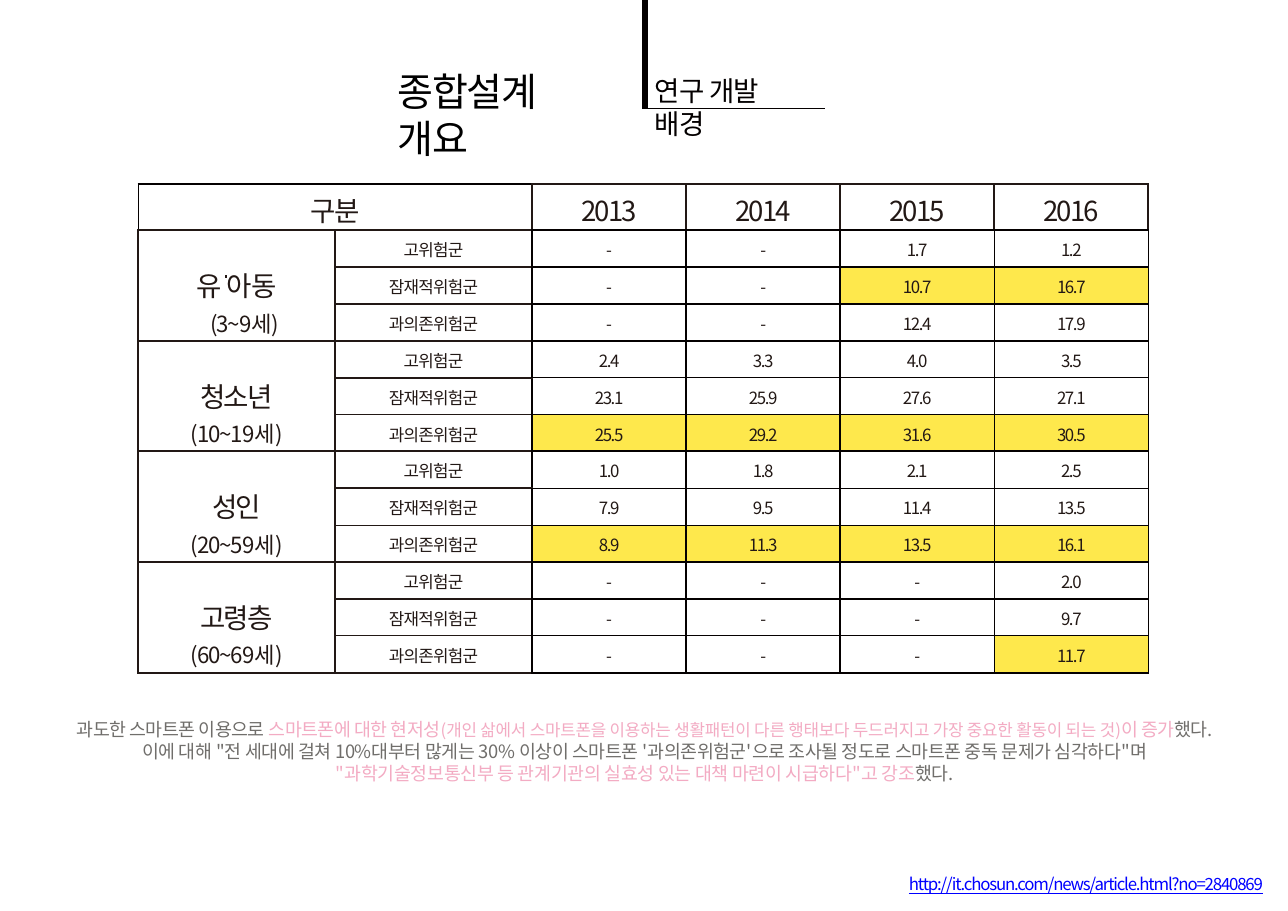
import pptx
import pptx.dml.color
import pptx.enum.shapes
import pptx.enum.text
import pptx.oxml
import pptx.oxml.ns
import pptx.util
from pptx.util import Pt

FONT = "Noto Sans CJK KR"
BLACK, INK, GRAY, PINK = "040000", "221815", "706E6B", "F3ABC3"
YELLOW, BLUE = "FEDF00", "0000FF"
CENTER = pptx.enum.text.PP_ALIGN.CENTER
LEFT = pptx.enum.text.PP_ALIGN.LEFT

YEARS = ["2013", "2014", "2015", "2016"]
RISK_LEVELS = ["고위험군", "잠재적위험군", "과의존위험군"]
# Age group, its letter spacing, age range, extra indent of the range
AGE_GROUPS = [("유 아동", -0.3, "(3~9세)", 10.5), ("청소년", -0.9, "(10~19세)", 0),
              ("성인", -0.9, "(20~59세)", 0), ("고령층", -0.9, "(60~69세)", 0)]
RATES = [
    "- - 1.7 1.2", "- - 10.7 16.7", "- - 12.4 17.9",
    "2.4 3.3 4.0 3.5", "23.1 25.9 27.6 27.1", "25.5 29.2 31.6 30.5",
    "1.0 1.8 2.1 2.5", "7.9 9.5 11.4 13.5", "8.9 11.3 13.5 16.1",
    "- - - 2.0", "- - - 9.7", "- - - 11.7",
]
# Table row: first highlighted column
HIGHLIGHTS = {2: 4, 6: 2, 9: 2, 12: 5}
HEAVY_RULES_BELOW = {0, 1, 3, 6, 12}

# Runs: text, size, colour, letter spacing
SUMMARY = [
    [("과도한 스마트폰 이용으로 ", 12, GRAY, -0.3),
     ("스마트폰에 대한 현저성", 12, PINK, -0.3),
     ("(개인 삶에서 스마트폰을 이용하는 생활패턴이 다른 행태보다 두드러지고 "
      "가장 중요한 활동이 되는 것)", 11, PINK, -0.17),
     ("이 증가", 12, PINK, -0.35), ("했다.", 12, GRAY, -0.5)],
    [("이에 대해 \"전 세대에 걸쳐 10%대부터 많게는 30% 이상이 스마트폰 "
      "'과의존위험군'으로 조사될 정도로 스마트폰 중독 문제가 심각하다\"며",
      12, GRAY, -0.25)],
    [("\"과학기술정보통신부 등 관계기관의 실효성 있는 대책 마련이 시급하다\"고 강조",
      12, PINK, -0.2), ("했다.", 12, GRAY, -0.5)],
]


def rgb(color):
    return pptx.dml.color.RGBColor.from_string(color)


def add_run(paragraph, text, size, color, spacing):
    run = paragraph.add_run()
    run.text = text
    run.font.size = Pt(size)
    run.font.color.rgb = rgb(color)
    run.font.name = FONT
    properties = run.font._element
    properties.set("spc", str(round(spacing * 100)))
    properties.append(pptx.oxml.parse_xml(
        f'<a:ea {pptx.oxml.ns.nsdecls("a")} typeface="{FONT}"/>'))


def write_lines(frame, lines, align=LEFT):
    """Fill a text frame; each line is a list of runs."""
    for index, runs in enumerate(lines):
        paragraph = frame.paragraphs[0] if index == 0 else frame.add_paragraph()
        paragraph.alignment = align
        paragraph.line_spacing = 1.0
        for run in runs:
            add_run(paragraph, *run)


def add_text(slide, left, top, width, height, lines, align=LEFT):
    box = slide.shapes.add_textbox(Pt(left), Pt(top), Pt(width), Pt(height))
    box.text_frame.word_wrap = True
    write_lines(box.text_frame, lines, align)
    return box


def add_rule(slide, x1, y1, x2, y2, weight):
    rule = slide.shapes.add_connector(
        pptx.enum.shapes.MSO_CONNECTOR.STRAIGHT, Pt(x1), Pt(y1), Pt(x2), Pt(y2))
    rule.line.color.rgb = rgb(BLACK)
    rule.line.width = Pt(weight)
    rule._element.spPr.append(
        pptx.oxml.parse_xml(f'<a:effectLst {pptx.oxml.ns.nsdecls("a")}/>'))


def set_borders(cell, color, left, right, top, bottom):
    for side, weight in zip("LRTB", (left, right, top, bottom)):
        cell._tc.get_or_add_tcPr().append(pptx.oxml.parse_xml(
            f'<a:ln{side} {pptx.oxml.ns.nsdecls("a")} w="{Pt(weight)}">'
            f'<a:solidFill><a:srgbClr val="{color}"/></a:solidFill></a:ln{side}>'))


def set_cell_fill(cell, highlighted):
    if not highlighted:
        cell.fill.background()
        return
    cell.fill.solid()
    cell.fill.fore_color.rgb = rgb(YELLOW)
    tint = cell._tc.tcPr.find(pptx.oxml.ns.qn("a:solidFill"))[0]
    tint.append(pptx.oxml.parse_xml(
        f'<a:alpha {pptx.oxml.ns.nsdecls("a")} val="70000"/>'))


def write_cell(cell, lines, top_margin):
    cell.margin_left = cell.margin_right = cell.margin_bottom = 0
    cell.margin_top = Pt(top_margin)
    write_lines(cell.text_frame, lines, CENTER)


def style_cell(cell, row, column):
    if row == 0 and column < 2:
        set_borders(cell, BLACK, 1, 1.5, 1, 1.5)
    elif row == 0 or column == 0:
        set_borders(cell, INK, 1.5, 1.5, 1.5, 1.5)
    elif column == 1:
        set_borders(cell, INK, 1.5, 1.5, 1 if row % 3 == 0 else 1.5,
                    1 if row % 3 == 2 else 1.5)
    else:
        set_borders(cell, BLACK, 1.5 if column in (2, 4) else 1,
                    1.5 if column == 3 else 1,
                    1.5 if row - 1 in HEAVY_RULES_BELOW else 1,
                    1.5 if row in HEAVY_RULES_BELOW else 1)
    set_cell_fill(cell, column >= HIGHLIGHTS.get(row, 6))


def add_risk_table(slide):
    frame = slide.shapes.add_table(13, 6, Pt(90.3), Pt(120.3), Pt(660.2), Pt(319.4))
    table = frame.table
    table.first_row = table.horz_banding = False
    for index, column in enumerate(table.columns):
        column.width = Pt(128.7 if index < 2 else 100.7)
    for index, row in enumerate(table.rows):
        row.height = Pt(30.2 if index == 0 else 24.1)

    # Header row
    table.cell(0, 0).merge(table.cell(0, 1))
    write_cell(table.cell(0, 0), [[("구분", 18, INK, -0.9)]], 3.6)
    for column, year in enumerate(YEARS, 2):
        write_cell(table.cell(0, column), [[(year, 18, INK, -1.2)]], 3.6)

    # Age groups
    for index, (group, spacing, ages, indent) in enumerate(AGE_GROUPS):
        first_row = 1 + 3 * index
        cell = table.cell(first_row, 0)
        cell.merge(table.cell(first_row + 2, 0))
        write_cell(cell, [[(group, 18, INK, spacing)], [(ages, 14.5, INK, -0.7)]], 22.4)
        age_line = cell.text_frame.paragraphs[1]
        age_line.space_before = Pt(1.4)
        age_line._p.get_or_add_pPr().set("marL", str(Pt(indent)))

    # Risk levels and rates
    for row, rates in enumerate(RATES, 1):
        level = RISK_LEVELS[(row - 1) % 3]
        write_cell(table.cell(row, 1), [[(level, 11, INK, -0.5)]], 4.5)
        for column, rate in enumerate(rates.split(), 2):
            spacing = 0 if rate == "-" else -0.9
            write_cell(table.cell(row, column), [[(rate, 11, INK, spacing)]], 4.5)

    for row in range(13):
        for column in range(6):
            style_cell(table.cell(row, column), row, column)


def add_middle_dot(slide):
    builder = slide.shapes.build_freeform(Pt(148.3), Pt(181.4))
    builder.add_line_segments(
        [(Pt(146.9), Pt(181.4)), (Pt(146.9), Pt(180)), (Pt(148.3), Pt(180))])
    dot = builder.convert_to_shape()
    dot.shadow.inherit = False
    dot.fill.solid()
    dot.fill.fore_color.rgb = rgb(INK)
    dot.line.fill.background()


def add_title(slide):
    title = slide.shapes.title
    title.left, title.top, title.width, title.height = Pt(252.7), Pt(40.5), Pt(122), Pt(70)
    title.text_frame.auto_size = pptx.enum.text.MSO_AUTO_SIZE.NONE
    title.text_frame.vertical_anchor = pptx.enum.text.MSO_ANCHOR.TOP
    title.text_frame.word_wrap = True
    write_lines(title.text_frame, [[("종합설계 개요", 25.5, "000000", -0.9)]])


def main():
    deck = pptx.Presentation()
    deck.slide_width, deck.slide_height = Pt(841.68), Pt(595.44)
    slide = deck.slides.add_slide(deck.slide_layouts[5])

    # Heading
    add_title(slide)
    add_rule(slide, 421.5, 0, 421.5, 71.2, 4)
    add_rule(slide, 421.5, 70.8, 539.3, 70.8, 1)
    add_text(slide, 420.9, 45, 97, 55, [[("연구 개발 배경", 18, BLACK, -0.5)]])

    # Smartphone dependence by age group
    add_risk_table(slide)
    add_middle_dot(slide)

    # Summary and source
    add_text(slide, 41, 466, 760.5, 66, SUMMARY, CENTER)
    address = "http://it.chosun.com/news/article.html?no=2840869"
    source = add_text(slide, 594, 571, 234, 16, [[(address, 11, BLUE, -0.8)]])
    frame = source.text_frame
    frame.word_wrap = False
    frame.margin_left = frame.margin_right = frame.margin_top = frame.margin_bottom = 0
    frame.paragraphs[0].runs[0].font.underline = True

    deck.save("out.pptx")


if __name__ == "__main__":
    main()
